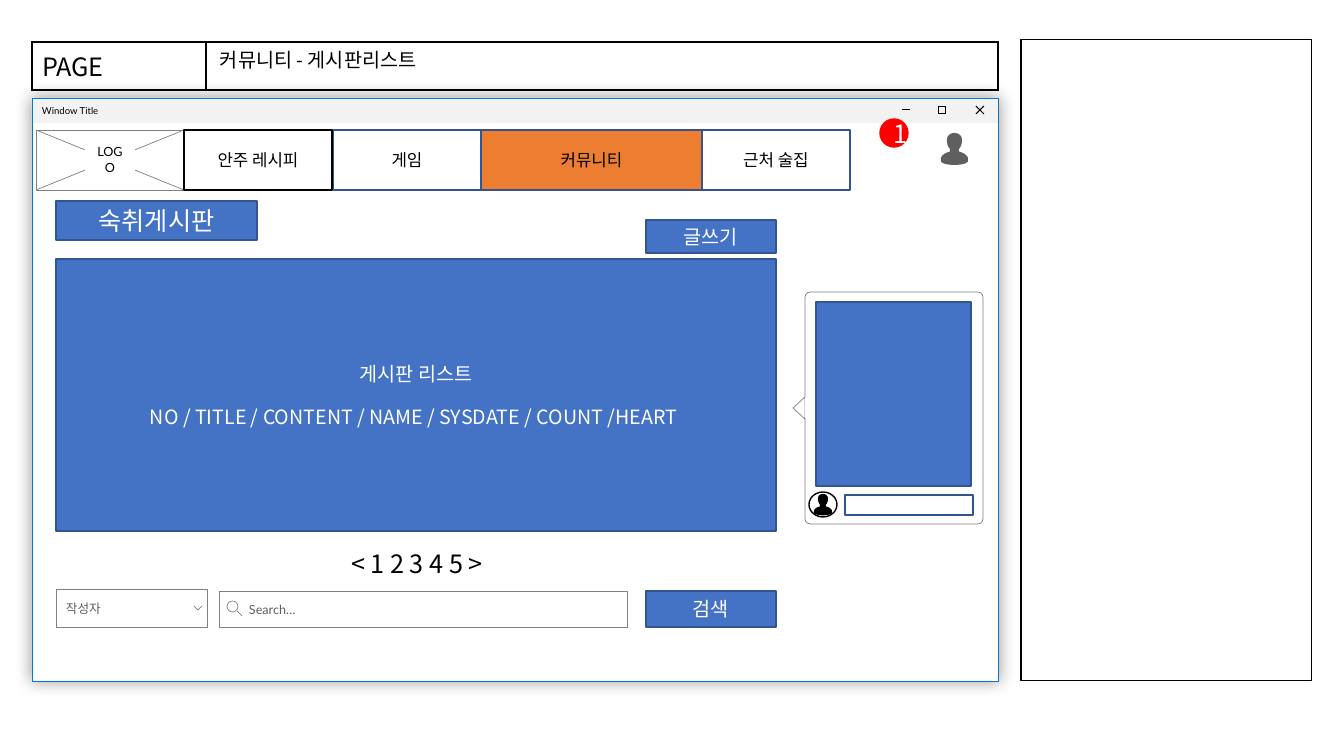
from lxml.etree import SubElement
from pptx import Presentation
from pptx.dml.color import RGBColor
from pptx.enum.shapes import MSO_CONNECTOR, MSO_SHAPE
from pptx.enum.text import MSO_ANCHOR, PP_ALIGN
from pptx.oxml import parse_xml
from pptx.oxml.ns import nsdecls, qn
from pptx.util import Pt

PIXEL = 914400 / 100.8
LATO, NOTO = "Lato", "Noto Sans CJK KR"
WHITE, BLACK, RED, ORANGE = "FFFFFF", "000000", "FF0000", "ED7D31"
BLUE, NAVY, GREY, DARK = "4472C4", "325491", "808080", "5F5F5F"
SKY, PALE = "0078D7", "F2F2F2"


def px(length):
    """Turn pixels into EMU."""
    return round(length * PIXEL)


def colour(code):
    """Turn a hex string into a colour."""
    return RGBColor.from_string(code)


def curve(start, first, second, end, steps=8):
    """Sample a cubic curve, leaving out its start."""
    for step in range(1, steps + 1):
        t = step / steps
        weights = ((1 - t) ** 3, 3 * t * (1 - t) ** 2, 3 * t * t * (1 - t), t ** 3)
        yield tuple(sum(w * p[axis] for w, p in zip(weights, (start, first, second, end)))
                    for axis in (0, 1))


def person_outline():
    """Return the outline of a head and shoulders, 27 by 32 units."""
    half = [(13.5, 0)]
    half += curve(half[-1], (9, 0), (6, 3), (6, 7))
    half += curve(half[-1], (6, 11), (7, 14), (9, 16))
    half += [(9, 17)]
    half += curve(half[-1], (9, 18), (9, 19), (8, 19))
    half += curve(half[-1], (3, 20), (0, 24), (0, 25))
    half += [(0, 28)]
    half += curve(half[-1], (0, 30), (5, 32), (13.5, 32))
    return half + [(27 - x, y) for x, y in reversed(half)]


class Wireframe:
    """Holds the slide and the style of its elements."""

    def __init__(self, slide):
        self.slide = slide
        self.shapes = slide.shapes

    def paint(self, shape, fill, line, weight):
        """Set fill and outline, and drop the shadow."""
        shape.shadow.inherit = False
        if fill:
            shape.fill.solid()
            shape.fill.fore_color.rgb = colour(fill)
        else:
            shape.fill.background()
        if line:
            shape.line.color.rgb = colour(line)
            shape.line.width = Pt(weight)
        else:
            shape.line.fill.background()
        return shape

    def box(self, x, y, w, h, fill=None, line=None, weight=1.0, kind=MSO_SHAPE.RECTANGLE):
        """Add a preset shape."""
        shape = self.shapes.add_shape(kind, px(x), px(y), px(w), px(h))
        return self.paint(shape, fill, line, weight)

    def label(self, frame, lines, size, ink=BLACK, font=NOTO, align=PP_ALIGN.CENTER,
              insets=(10, 5, 10, 5), anchor=MSO_ANCHOR.MIDDLE, gap=0):
        """Put paragraphs into a text frame."""
        frame.word_wrap = True
        frame.vertical_anchor = anchor
        frame.margin_left, frame.margin_top, frame.margin_right, frame.margin_bottom = map(px, insets)
        frame.text = lines
        for number, paragraph in enumerate(frame.paragraphs):
            self.style(paragraph, size, ink, font, align)
            if number:
                paragraph.space_before = Pt(gap)

    def style(self, paragraph, size, ink, font, align):
        """Set alignment and font, Korean letters included."""
        paragraph.alignment = align
        paragraph.font.size = Pt(size)
        paragraph.font.name = font
        paragraph.font.color.rgb = colour(ink)
        properties = paragraph._p.pPr.find(qn("a:defRPr"))
        SubElement(properties, qn("a:ea")).set("typeface", NOTO)

    def button(self, area, caption, size, fill=BLUE, line=NAVY, ink=WHITE, gap=0):
        """Add a rectangle with a centred caption."""
        self.label(self.box(*area, fill, line).text_frame, caption, size, ink, gap=gap)

    def field(self, area, caption, insets):
        """Add a form field with a grey hint."""
        shape = self.box(*area, WHITE, GREY, 0.5)
        self.label(shape.text_frame, caption, 9, DARK, LATO, PP_ALIGN.LEFT, insets)

    def line(self, x1, y1, x2, y2, ink=GREY, weight=0.5):
        """Add a straight line."""
        connector = self.shapes.add_connector(MSO_CONNECTOR.STRAIGHT, px(x1), px(y1), px(x2), px(y2))
        connector.line.color.rgb = colour(ink)
        connector.line.width = Pt(weight)
        SubElement(connector._element.spPr, qn("a:effectLst"))

    def outline(self, points, fill=None, line=None, close=True):
        """Add a freeform through points given in pixels."""
        start, *rest = [(px(x), px(y)) for x, y in points]
        builder = self.shapes.build_freeform(*start)
        builder.add_line_segments(rest, close=close)
        return self.paint(builder.convert_to_shape(), fill, line, 0.5)

    def person(self, x, y, width, fill):
        """Add a user icon of the given width."""
        scale = width / 27
        self.outline([(x + a * scale, y + b * scale) for a, b in person_outline()], fill)

    def header(self, x, y, height, widths, caption):
        """Add the bordered one-row table."""
        table = self.shapes.add_table(1, len(widths), px(x), px(y), px(sum(widths)), px(height)).table
        table.first_row = table.horz_banding = False
        for column, width in zip(table.columns, widths):
            column.width = px(width)
        for cell in table.rows[0].cells:
            cell.fill.background()
            properties = cell._tc.get_or_add_tcPr()
            for place, edge in enumerate("LRTB"):
                properties.insert(place, parse_xml(
                    f'<a:ln{edge} {nsdecls("a")} w="12700"><a:solidFill>'
                    f'<a:srgbClr val="{BLACK}"/></a:solidFill></a:ln{edge}>'))
        table.cell(0, 0).text = caption
        self.style(table.cell(0, 0).text_frame.paragraphs[0], 18, BLACK, NOTO, PP_ALIGN.LEFT)

    def glow(self, shape):
        """Give a shape a soft shadow on all sides."""
        effects = shape._element.spPr.find(qn("a:effectLst"))
        effects.append(parse_xml(
            f'<a:outerShdw {nsdecls("a")} blurRad="152400" dist="0" algn="ctr" rotWithShape="0">'
            f'<a:srgbClr val="{BLACK}"><a:alpha val="40000"/></a:srgbClr></a:outerShdw>'))


def draw_window(page):
    """Draw the page frame, header and window."""
    page.box(1021, 40, 291, 641, None, BLACK, 0.75)
    page.glow(page.box(32, 98, 966, 583, WHITE, SKY, 0.5))
    title_bar = page.box(32, 98, 966, 25, PALE)
    page.label(title_bar.text_frame, "Window Title", 6.8, BLACK, LATO, PP_ALIGN.LEFT, (10, 6, 10, 5))
    page.line(902, 110, 910, 110, BLACK, 0.75)
    page.box(939, 107, 7, 7, None, BLACK, 0.75)
    page.line(976, 106, 984, 114, BLACK, 0.75)
    page.line(976, 114, 984, 106, BLACK, 0.75)
    page.box(32, 98, 966, 583, None, SKY, 0.5)
    page.header(32, 42, 48, (174, 792), "PAGE")
    heading = page.shapes.add_textbox(px(210), px(46), px(753), px(35)).text_frame
    page.label(heading, "커뮤니티 - 게시판리스트", 14, align=PP_ALIGN.LEFT, anchor=MSO_ANCHOR.TOP)
    heading.paragraphs[0].line_spacing = 0.9


def draw_navigation(page):
    """Draw the logo place, menu tabs and user marks."""
    top, height = 130, 60
    page.box(36, top, 148, height, WHITE, GREY, 0.5)
    page.line(36, top + height, 184, top)
    page.line(36, top, 184, top + height)
    page.label(page.box(85, 148, 50, 23, WHITE).text_frame, "LOGO", 9, BLACK, LATO, insets=(8, 4, 8, 4))
    tabs = (("게임", 333, 148, WHITE, NAVY), ("커뮤니티", 481, 221, ORANGE, NAVY),
            ("근처 술집", 702, 148, WHITE, NAVY), ("안주 레시피", 184, 148, WHITE, BLACK))
    for caption, left, width, fill, border in tabs:
        page.button((left, top, width, height), caption, 12, fill, border, BLACK)
    badge = page.box(880, 119, 28, 28, RED, RED, kind=MSO_SHAPE.OVAL)
    page.label(badge.text_frame, "1", 18, WHITE)
    page.person(941, 133, 27, DARK)


def draw_chat(page):
    """Draw the chat bubble with its input row."""
    bubble = page.box(805, 292, 178, 232, WHITE, GREY, 0.5, MSO_SHAPE.ROUNDED_RECTANGLE)
    bubble.adjustments[0] = 0.03
    pointer = page.box(788, 402, 22, 12, WHITE, GREY, 0.5, MSO_SHAPE.ISOSCELES_TRIANGLE)
    pointer.rotation = 270
    page.line(805, 397, 805, 418, WHITE)
    page.box(845, 495, 128, 20, WHITE, NAVY)
    page.box(816, 302, 155, 184, BLUE, NAVY)
    page.box(809, 492, 28, 25, WHITE, BLACK, kind=MSO_SHAPE.OVAL)
    page.person(814, 494, 18, BLACK)


def draw_board(page):
    """Draw the board, page numbers and search row."""
    page.button((56, 201, 201, 39), "숙취게시판", 18)
    page.button((56, 259, 720, 272), "게시판 리스트\nNO / TITLE / CONTENT / NAME / SYSDATE / COUNT /HEART ", 14, gap=14)
    page.button((646, 220, 130, 33), "글쓰기", 14)
    page.button((200, 544, 434, 38), "< 1 2 3 4 5 >", 18, WHITE, None, BLACK)
    page.button((646, 591, 130, 36), "검색", 14)
    page.field((219, 591, 408, 36), "Search…", (30, 6, 10, 6))
    page.box(227, 601, 11, 11, WHITE, GREY, 0.5, MSO_SHAPE.OVAL)
    page.line(237, 611, 242, 616)
    page.field((56, 589, 151, 38), "작성자", (10, 6, 28, 6))
    page.outline([(194, 606), (198, 610), (202, 606)], None, GREY, close=False)


def main():
    """Build and save the slide."""
    deck = Presentation()
    deck.slide_width, deck.slide_height = px(1344), px(756)
    page = Wireframe(deck.slides.add_slide(deck.slide_layouts[6]))
    for draw in (draw_window, draw_navigation, draw_chat, draw_board):
        draw(page)
    deck.save("out.pptx")


main()
